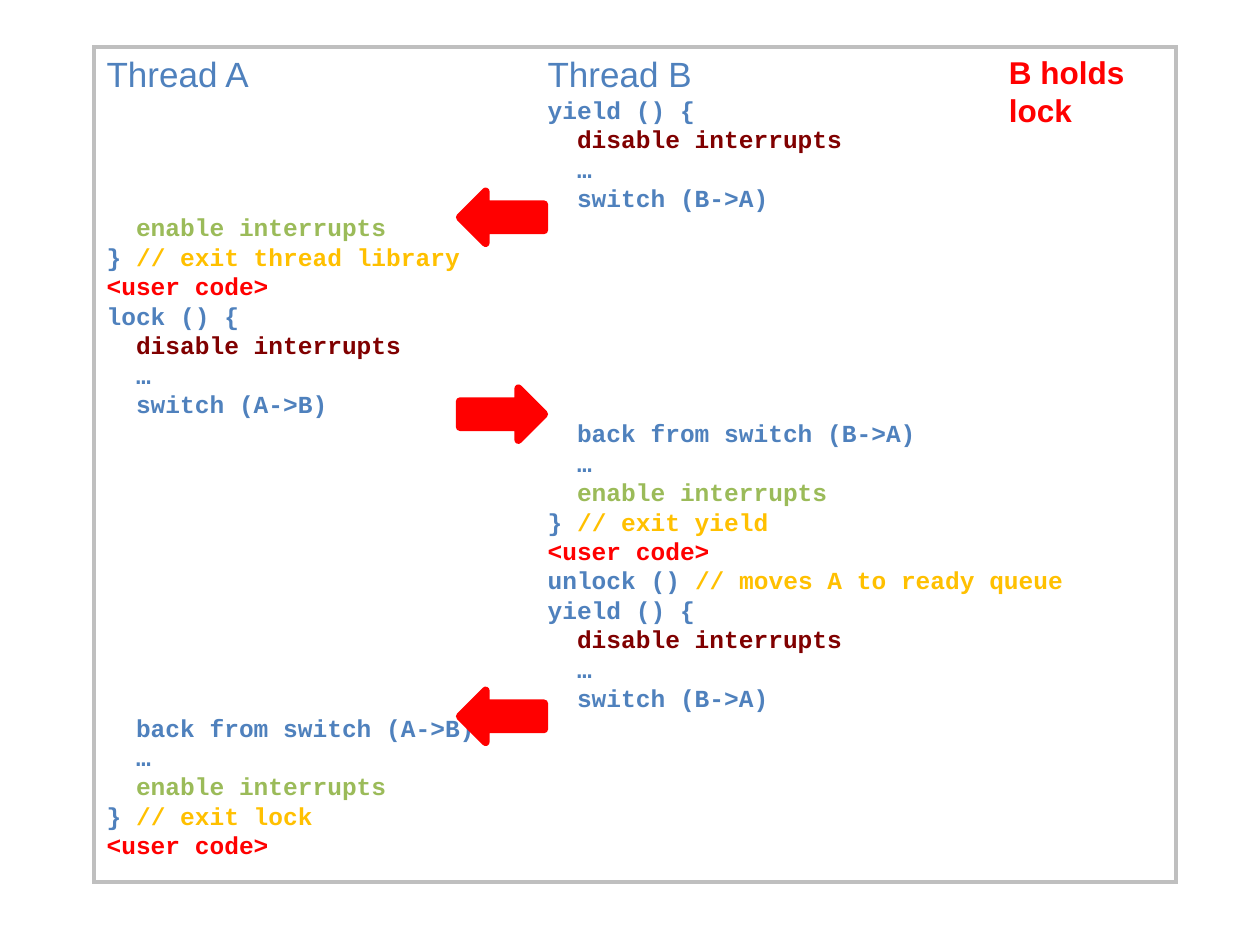
from lxml import etree
from pptx import Presentation, util as u
from pptx.dml.color import RGBColor
from pptx.enum import shapes, text
from pptx.oxml.ns import qn

BLUE, DARK, GREEN, GOLD, RED, GREY = (
    "4F81BD", "800000", "9BBB59", "FFC000", "FF0000", "BFBFBF")
TAB = 8.89
LINES = [
    [("\tyield () {", BLUE)],
    [("\t  disable interrupts", DARK)],
    [("\t  …", BLUE)],
    [("\t  switch (B->A)", BLUE)],
    [("  enable interrupts", GREEN)],
    [("} ", BLUE), ("// exit thread library", GOLD)],
    [("<user code>", RED)],
    [("lock () {", BLUE)],
    [("  disable interrupts", DARK)],
    [("  …", BLUE)],
    [("  switch (A->B)", BLUE)],
    [("\t  back from switch (B->A)", BLUE)],
    [("\t  …", BLUE)],
    [("\t  enable interrupts", GREEN)],
    [("\t} ", BLUE), ("// exit yield", GOLD)],
    [("\t<user code>", RED)],
    [("\tunlock () ", BLUE), ("// moves A to ready queue", GOLD)],
    [("\tyield () {", BLUE)],
    [("\t  disable interrupts", DARK)],
    [("\t  …", BLUE)],
    [("\t  switch (B->A)", BLUE)],
    [("  back from switch (A->B)", BLUE)],
    [("  …", BLUE)],
    [("  enable interrupts", GREEN)],
    [("} ", BLUE), ("// exit lock", GOLD)],
    [("<user code>", RED)],
]


def tint(hue):
    """Turn a hex string into a colour."""
    return RGBColor.from_string(hue)


def style(para, name, size, bold):
    """Set the font of a whole paragraph."""
    font = para.font
    font.name, font.size, font.bold = name, u.Pt(size), bold


def write(para, runs, name, size, bold):
    """Fill a left-aligned paragraph with coloured runs and one tab stop."""
    para.alignment = text.PP_ALIGN.LEFT
    stops = etree.SubElement(para._p.get_or_add_pPr(), qn("a:tabLst"))
    etree.SubElement(stops, qn("a:tab"), pos=str(u.Cm(TAB)), algn="l")
    style(para, name, size, bold)
    for words, hue in runs:
        run = para.add_run()
        run.text = words
        run.font.color.rgb = tint(hue)


def trace(slide, x, y, w, h):
    """Draw the framed listing of both threads."""
    box = slide.shapes.add_shape(
        shapes.MSO_SHAPE.RECTANGLE, u.Cm(x), u.Cm(y), u.Cm(w), u.Cm(h))
    box.shadow.inherit = False
    box.fill.background()
    box.line.color.rgb = tint(GREY)
    box.line.width = u.Pt(2.25)
    edge = box._element.spPr.find(qn("a:ln"))
    etree.SubElement(edge, qn("a:miter"), lim="800000")
    frame = box.text_frame
    frame.word_wrap = True
    frame.vertical_anchor = text.MSO_ANCHOR.TOP
    write(frame.paragraphs[0], [("Thread A\tThread B", BLUE)],
          "Arial", 20, False)
    for runs in LINES:
        write(frame.add_paragraph(), runs, "Courier New", 14, True)


def arrow(slide, x, y, w, h, turn):
    """Draw a red arrow that marks a switch."""
    mark = slide.shapes.add_shape(
        shapes.MSO_SHAPE.RIGHT_ARROW, u.Cm(x), u.Cm(y), u.Cm(w), u.Cm(h))
    mark.shadow.inherit = False
    mark.rotation = turn
    mark.fill.solid()
    mark.fill.fore_color.rgb = tint(RED)
    mark.line.color.rgb = tint(RED)
    mark.line.width = u.Pt(4.5)


def note(slide, x, y, w, h):
    """Write who holds the lock."""
    box = slide.shapes.add_textbox(u.Cm(x), u.Cm(y), u.Cm(w), u.Cm(h))
    box.text_frame.word_wrap = True
    para = box.text_frame.paragraphs[0]
    para.text = "B holds lock"
    style(para, "Arial", 18, True)
    para.font.color.rgb = tint(RED)


def main():
    """Build and save the slide."""
    deck = Presentation()
    deck.slide_width, deck.slide_height = u.Cm(25.4), u.Cm(19.05)
    slide = deck.slides.add_slide(deck.slide_layouts[6])
    x, y = 1.9, 0.94
    trace(slide, x, y, 21.8, 16.84)
    for drop, turn in ((2.92, 180), (6.89, 0), (12.98, 180)):
        arrow(slide, x + 7.37, y + drop, 1.7, 1.04, turn)
    note(slide, x + 18.19, y, 4.06, 1.02)
    deck.save("out.pptx")


if __name__ == "__main__":
    main()
